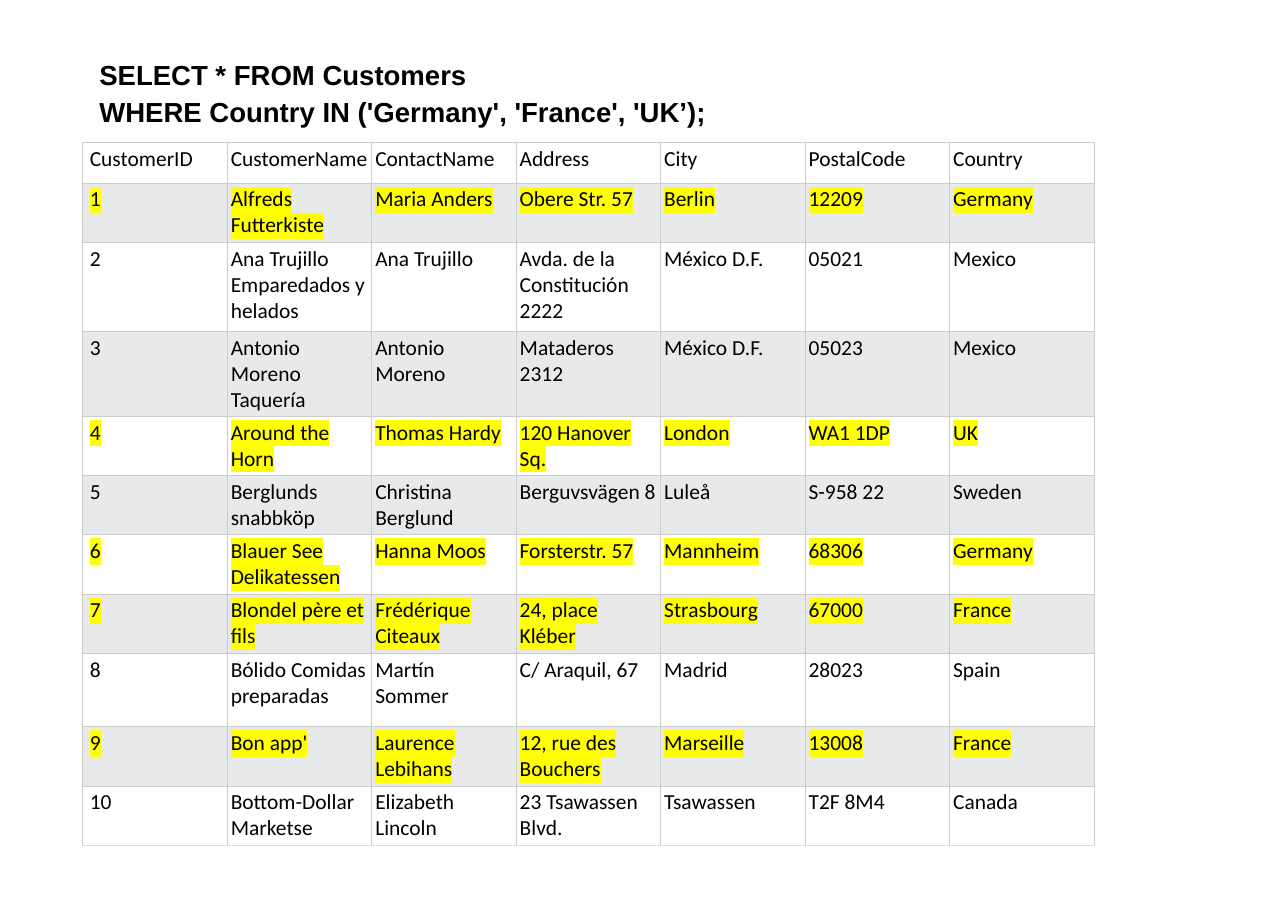
from dataclasses import dataclass

from lxml import etree
from pptx import Presentation
from pptx.dml.color import RGBColor
from pptx.enum.text import MSO_AUTO_SIZE
from pptx.oxml.ns import qn
from pptx.util import Cm, Pt

FIT_SHAPE = MSO_AUTO_SIZE.SHAPE_TO_FIT_TEXT
BLANK_LAYOUT = 6


@dataclass(frozen=True)
class Theme:
    ink: str = "000000"
    plain_row: str = "FFFFFF"
    shaded_row: str = "E7E9EB"
    match: str = "FFFF00"
    grid: str = "CCCCCC"
    bottom_edge: str = "DDDDDD"
    query_font: str = "Arial"
    query_size: float = 18
    table_font: str = "Calibri"
    table_size: float = 14
    grid_width: float = 0.75


THEME = Theme()

QUERY = [
    "SELECT * FROM Customers",
    "WHERE Country IN ('Germany', 'France', 'UK’);",
]
MATCHING_COUNTRIES = {"Germany", "France", "UK"}

HEADINGS = ["CustomerID", "CustomerName", "ContactName", "Address", "City",
            "PostalCode", "Country"]
CUSTOMERS = [
    ["1", "Alfreds Futterkiste", "Maria Anders", "Obere Str. 57", "Berlin",
     "12209", "Germany"],
    ["2", "Ana Trujillo Emparedados y helados", "Ana Trujillo",
     "Avda. de la Constitución 2222", "México D.F.", "05021", "Mexico"],
    ["3", "Antonio Moreno Taquería", "Antonio Moreno", "Mataderos 2312",
     "México D.F.", "05023", "Mexico"],
    ["4", "Around the Horn", "Thomas Hardy", "120 Hanover Sq.", "London",
     "WA1 1DP", "UK"],
    ["5", "Berglunds snabbköp", "Christina Berglund", "Berguvsvägen 8",
     "Luleå", "S-958 22", "Sweden"],
    ["6", "Blauer See Delikatessen", "Hanna Moos", "Forsterstr. 57",
     "Mannheim", "68306", "Germany"],
    ["7", "Blondel père et fils", "Frédérique Citeaux", "24, place Kléber",
     "Strasbourg", "67000", "France"],
    ["8", "Bólido Comidas preparadas", "Martín Sommer", "C/ Araquil, 67",
     "Madrid", "28023", "Spain"],
    ["9", "Bon app'", "Laurence Lebihans", "12, rue des Bouchers",
     "Marseille", "13008", "France"],
    ["10", "Bottom-Dollar Marketse", "Elizabeth Lincoln",
     "23 Tsawassen Blvd.", "Tsawassen", "T2F 8M4", "Canada"],
]

COLUMN_WIDTH = Cm(3.33)
TWO_LINE_HEIGHT = Cm(1.35)
SPECIAL_HEIGHTS = {0: Cm(0.94), 2: Cm(2.06), 3: Cm(1.95), 8: Cm(1.7)}
CELL_MARGIN = Cm(0.08)
FIRST_COLUMN_MARGIN = Cm(0.16)


def style_run(run, font, size, bold=False):
    run.font.name = font
    run.font.size = Pt(size)
    run.font.bold = bold
    run.font.color.rgb = RGBColor.from_string(THEME.ink)


def highlight(run):
    """Mark the run's background; the element must follow the text fill."""
    mark = etree.Element(qn("a:highlight"))
    etree.SubElement(mark, qn("a:srgbClr"), val=THEME.match)
    run.font._element.find(qn("a:solidFill")).addnext(mark)


def set_borders(cell, bottom):
    properties = cell._tc.get_or_add_tcPr()
    edges = {"a:lnL": THEME.grid, "a:lnR": THEME.grid,
             "a:lnT": THEME.grid, "a:lnB": bottom}
    for position, (edge, color) in enumerate(edges.items()):
        line = etree.Element(qn(edge), w=str(Pt(THEME.grid_width)))
        fill = etree.SubElement(line, qn("a:solidFill"))
        etree.SubElement(fill, qn("a:srgbClr"), val=color)
        properties.insert(position, line)


def fill_cell(cell, text, background, left_margin, bottom, matches):
    cell.text_frame.text = text
    cell.margin_left = left_margin
    cell.margin_top = cell.margin_right = cell.margin_bottom = CELL_MARGIN
    cell.fill.solid()
    cell.fill.fore_color.rgb = RGBColor.from_string(background)
    set_borders(cell, bottom)
    run = cell.text_frame.paragraphs[0].runs[0]
    style_run(run, THEME.table_font, THEME.table_size)
    if matches:
        highlight(run)


def add_query(slide):
    box = slide.shapes.add_textbox(Cm(1.96), Cm(1.2), Cm(17.98), Cm(1.85))
    frame = box.text_frame
    frame.word_wrap = True
    frame.auto_size = FIT_SHAPE
    frame.text = "\n".join(QUERY)
    for line in frame.paragraphs:
        line.line_spacing = Pt(22.1)
        line.space_before = Pt(1.6)
        line._p.get_or_add_pPr().set("marL", str(Cm(0.08)))
        style_run(line.runs[0], THEME.query_font, THEME.query_size, bold=True)


def add_customers(slide):
    records = [HEADINGS] + CUSTOMERS
    heights = [SPECIAL_HEIGHTS.get(i, TWO_LINE_HEIGHT)
               for i in range(len(records))]
    table = slide.shapes.add_table(
        len(records), len(HEADINGS), Cm(1.91), Cm(3.28),
        COLUMN_WIDTH * len(HEADINGS), sum(heights)).table
    table.first_row = False
    table.horz_banding = False
    for column in table.columns:
        column.width = COLUMN_WIDTH
    for i, record in enumerate(records):
        table.rows[i].height = heights[i]
        background = THEME.shaded_row if i % 2 else THEME.plain_row
        bottom = THEME.bottom_edge if record is records[-1] else THEME.grid
        matches = record[-1] in MATCHING_COUNTRIES
        for j, text in enumerate(record):
            left_margin = CELL_MARGIN if j else FIRST_COLUMN_MARGIN
            fill_cell(table.cell(i, j), text, background, left_margin,
                      bottom, matches)


def main():
    presentation = Presentation()
    presentation.slide_width = Cm(29.69)
    presentation.slide_height = Cm(20.98)
    slide = presentation.slides.add_slide(
        presentation.slide_layouts[BLANK_LAYOUT])
    add_customers(slide)
    add_query(slide)
    presentation.save("out.pptx")


if __name__ == "__main__":
    main()
